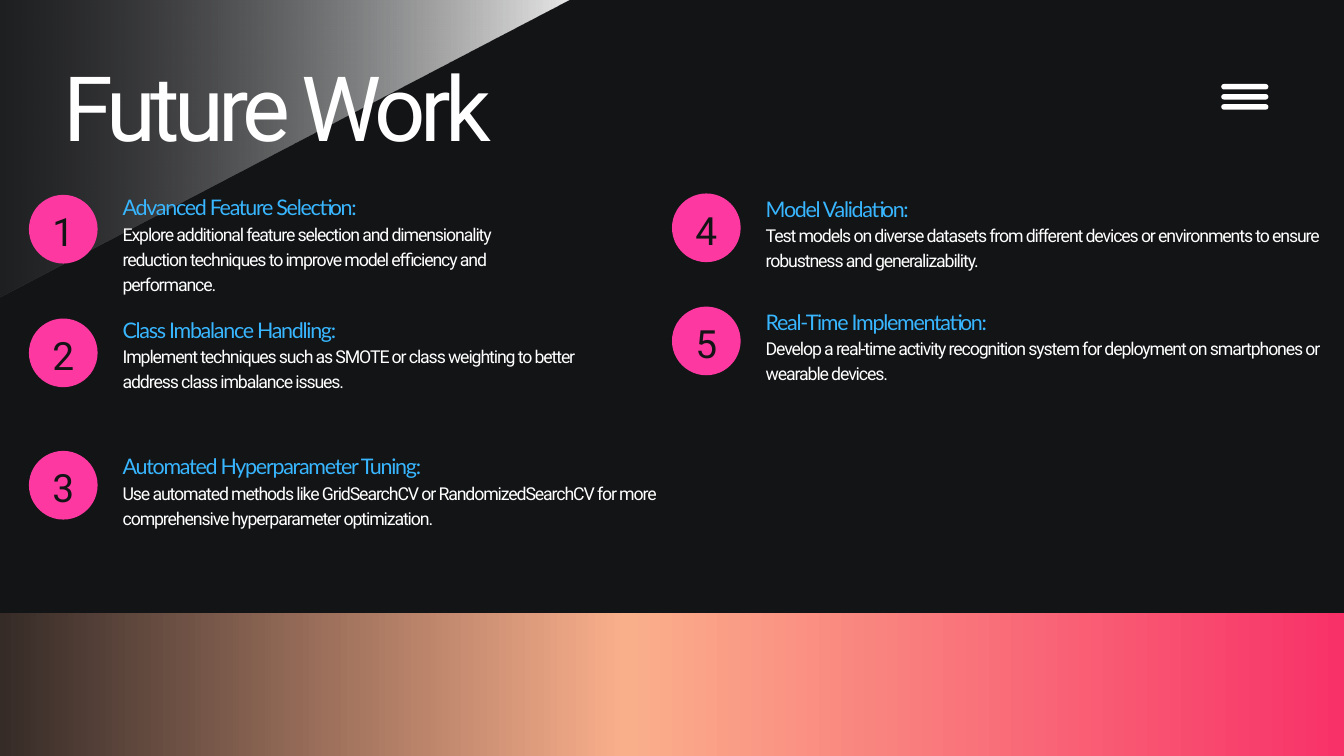
import pptx
import pptx.util
import pptx.dml.color
import pptx.enum.shapes
import pptx.enum.text
import pptx.oxml
import pptx.oxml.ns

Pt = pptx.util.Pt
RGB = pptx.dml.color.RGBColor.from_string
SHAPE = pptx.enum.shapes.MSO_SHAPE
ALIGN = pptx.enum.text.PP_ALIGN
qn = pptx.oxml.ns.qn
C = {"dark": "131416", "white": "FFFFFF", "pink": "FD39A1", "blue": "38B6FF",
     "peach": "FAAF8B", "red": "F82E67"}


def paint(sp, stops):
    """Fill without outline: one colour, or a left-to-right gradient of (position, colour, alpha)."""
    sp.shadow.inherit = False
    sp.line.fill.background()
    if isinstance(stops, str):
        sp.fill.solid()
        sp.fill.fore_color.rgb = RGB(C[stops])
        return
    sp.fill.gradient()
    gs_list = sp.element.spPr.find(qn("a:gradFill")).find(qn("a:gsLst"))
    gs_list.clear()
    for pos, color, alpha in stops:
        gs = pptx.oxml.parse_xml(
            f'<a:gs {pptx.oxml.ns.nsdecls("a")} pos="{pos * 1000}"><a:srgbClr val="{C[color]}">'
            f'<a:alpha val="{alpha * 1000}"/></a:srgbClr></a:gs>')
        gs_list.append(gs)
    sp.fill.gradient_angle = 0


def write(sp, lines, align=ALIGN.LEFT):
    """Write one paragraph per (text, size, font, colour, tracking, line height)."""
    tf = sp.text_frame
    tf.word_wrap = True
    tf.auto_size = pptx.enum.text.MSO_AUTO_SIZE.NONE
    tf.vertical_anchor = pptx.enum.text.MSO_ANCHOR.TOP
    tf.margin_left = tf.margin_top = tf.margin_right = tf.margin_bottom = 0
    for i, (text, size, font, color, tracking, height) in enumerate(lines):
        p = tf.add_paragraph() if i else tf.paragraphs[0]
        p.alignment = align
        p.line_spacing = Pt(height)
        p.space_before = p.space_after = Pt(0)
        r = p.add_run()
        r.text = text
        r.font.size = Pt(size)
        r.font.name = font
        r.font.color.rgb = RGB(C[color])
        r.font._element.set("spc", str(round(tracking * 100)))


prs = pptx.Presentation()
prs.slide_width, prs.slide_height = Pt(1440), Pt(810)
s = prs.slides.add_slide(prs.slide_layouts[5])
s.background.fill.solid()
s.background.fill.fore_color.rgb = RGB(C["dark"])

# Gradient bands along the bottom
for y in (656.6, 713.8):
    band = s.shapes.add_shape(SHAPE.RECTANGLE, Pt(-117.4), Pt(y), Pt(1577), Pt(130.5))
    paint(band, [(0, "dark", 100), (50, "peach", 100), (100, "red", 100)])

# Slanted light beam in the top left corner
fb = s.shapes.build_freeform(Pt(-38.2), Pt(338.4))
fb.add_line_segments([(Pt(x), Pt(y)) for x, y in
                      ((-184.3, 59), (505.4, -301.7), (651.6, -22.3))])
beam = fb.convert_to_shape()
paint(beam, [(0, "dark", 0), (100, "white", 100)])

# Title, in front of the beam
title = s.shapes.title
title.left, title.top, title.width, title.height = Pt(67.7), Pt(74.2), Pt(869.8), Pt(101.5)
write(title, [("Future Work", 96.6, "Roboto", "white", -6, 96.6)])
beam.element.addnext(title.element)

# Menu icon
for i in range(3):
    bar = s.shapes.add_shape(SHAPE.ROUNDED_RECTANGLE, Pt(1308.5), Pt(90 + 10.8 * i), Pt(50.5), Pt(5.9))
    bar.adjustments[0] = 0.5
    paint(bar, "white")

# Numbered items: column left, circle top, text top, text width, heading, description
items = [
    (31, 208.8, 203.8, 437, "Advanced Feature Selection:",
     "Explore additional feature selection and dimensionality reduction techniques "
     "to improve model efficiency and performance."),
    (31, 341.3, 334.8, 498, "Class Imbalance Handling:",
     "Implement techniques such as SMOTE or class weighting to better address class imbalance issues."),
    (31, 483.1, 481, 608, "Automated Hyperparameter Tuning:",
     "Use automated methods like GridSearchCV or RandomizedSearchCV for more "
     "comprehensive hyperparameter optimization."),
    (720, 207.3, 205.2, 608, "Model Validation:",
     "Test models on diverse datasets from different devices or environments to ensure "
     "robustness and generalizability."),
    (720, 328.5, 326.2, 608, "Real-Time Implementation:",
     "Develop a real-time activity recognition system for deployment on smartphones or wearable devices."),
]
for n, (x, y, text_y, width, heading, description) in enumerate(items, 1):
    circle = s.shapes.add_shape(SHAPE.OVAL, Pt(x), Pt(y), Pt(73.6), Pt(73.6))
    paint(circle, "pink")
    number = s.shapes.add_textbox(Pt(x + 18), Pt(y + 5.6), Pt(37.6), Pt(56))
    write(number, [(str(n), 41.7, "Roboto", "dark", -2.6, 58.4)], ALIGN.CENTER)
    body = s.shapes.add_textbox(Pt(x + 100.4), Pt(text_y), Pt(width), Pt(109.4 if n != 3 else 83.5))
    write(body, [(heading, 23, "Lato", "blue", -1.4, 32.2),
                 (description, 19, "Roboto", "white", -1.2, 26.6)])

prs.save("out.pptx")
